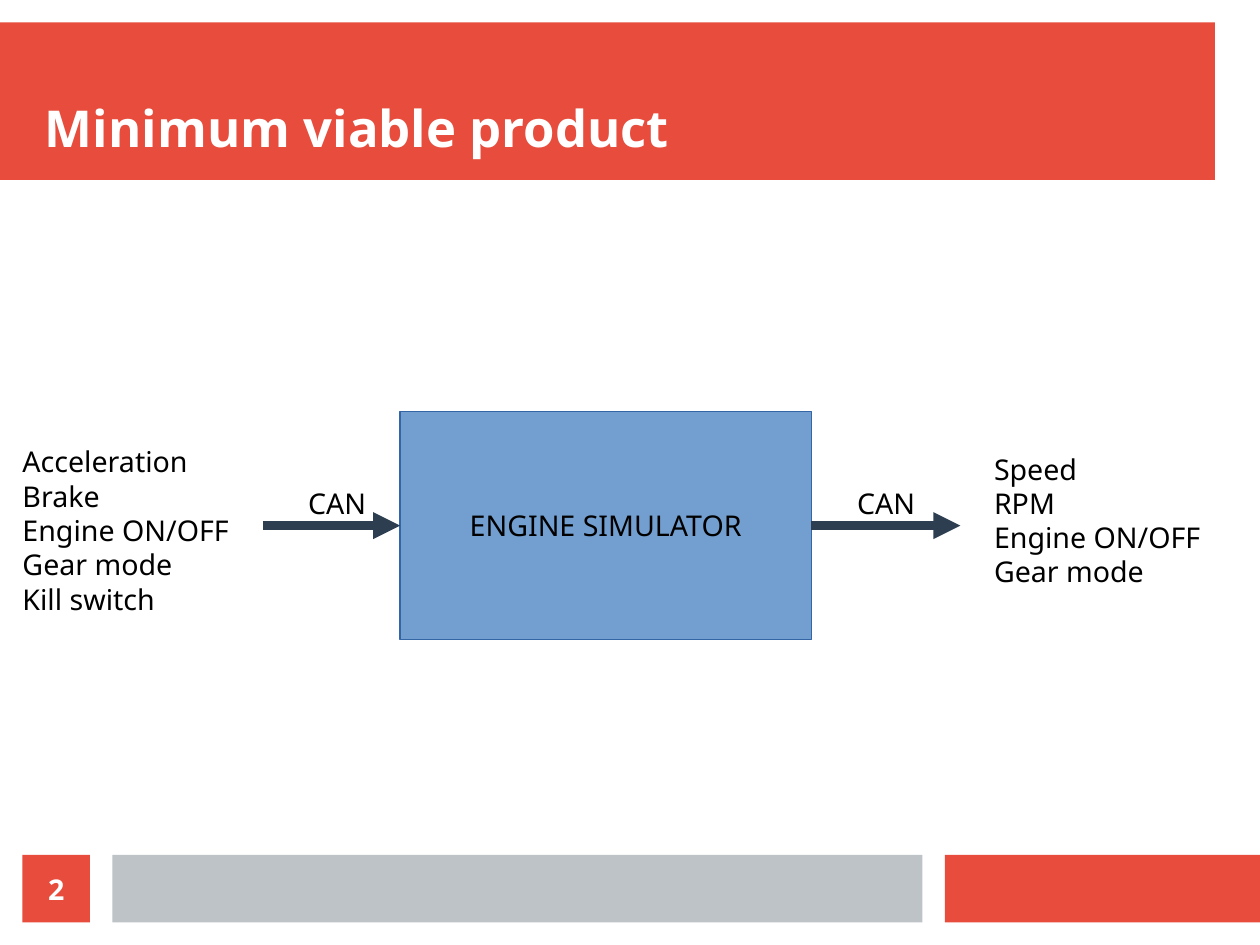
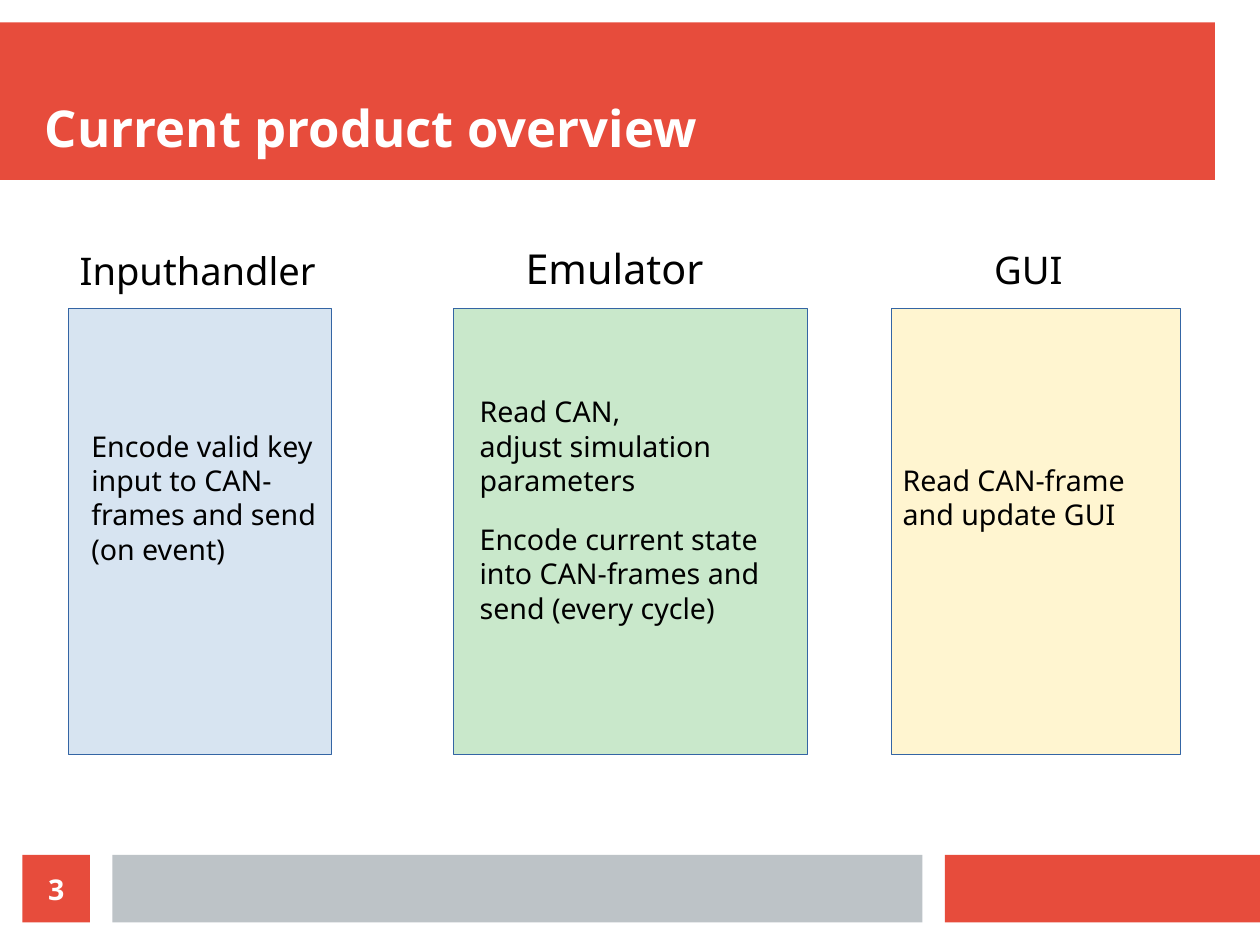
"""Builds two slides on an engine simulator, laid out on a grid of 28 columns by 21 rows."""
from lxml.etree import SubElement
from pptx import Presentation
from pptx.dml.color import RGBColor
from pptx.enum.shapes import MSO_CONNECTOR as Connector, MSO_SHAPE as Shape
from pptx.enum.text import MSO_ANCHOR as Anchor, PP_ALIGN as Align
from pptx.oxml.ns import qn
from pptx.util import Cm, Pt

COLORS = {
    "red": "E74C3C", "gray": "BDC3C7", "white": "FFFFFF", "black": "000000",
    "navy": "2C3E50", "outline": "3465A4",
    "blue": "729FCF", "green": "3FAF46", "yellow": "FFDE59",
}
RGB = {name: RGBColor.from_string(value) for name, value in COLORS.items()}
FONT = "Noto Sans"
COLUMNS, ROWS = 28, 21
CELL = Cm(1)


def add_box(slide, cells, fill, outlined=False, opacity=None):
    """Add a filled rectangle at (column, row, columns, rows)."""
    shape = slide.shapes.add_shape(Shape.RECTANGLE, *(round(n * CELL) for n in cells))
    shape.shadow.inherit = False
    shape.fill.solid()
    shape.fill.fore_color.rgb = RGB[fill]
    if opacity:
        color = shape.element.spPr.find(".//" + qn("a:srgbClr"))
        SubElement(color, qn("a:alpha")).set("val", str(opacity * 1000))
    if outlined:
        shape.line.color.rgb = RGB["outline"]
        shape.line.width = Pt(0)
    else:
        shape.line.fill.background()
    return shape


def write(shape, lines, size=18, color="black", bold=False, align=Align.LEFT, anchor=Anchor.TOP):
    """Write the lines as paragraphs of one style."""
    frame = shape.text_frame
    frame.word_wrap = True
    frame.vertical_anchor = anchor
    frame.text = "\n".join(lines)
    for paragraph in frame.paragraphs:
        paragraph.alignment = align
        paragraph.font.name = FONT
        paragraph.font.size = Pt(size)
        paragraph.font.bold = bold
        paragraph.font.color.rgb = RGB[color]
    return frame


presentation = Presentation()
presentation.slide_width = COLUMNS * CELL
presentation.slide_height = ROWS * CELL
layout = presentation.slide_layouts[5]

slides = []
for number, heading in enumerate(["Minimum viable product", "Current product overview"], start=2):
    slide = presentation.slides.add_slide(layout)
    title = slide.shapes.title
    title.left, title.top, title.width, title.height = CELL, CELL, 26 * CELL, round(2.5 * CELL)
    page = add_box(slide, (0.5, 19, 1.5, 1.5), "red")
    frames = [
        write(title, [heading], 32, "white", True, anchor=Anchor.BOTTOM),
        write(page, [str(number)], 18, "white", True, Align.CENTER, Anchor.MIDDLE),
    ]
    for frame in frames:
        frame.margin_left = frame.margin_top = frame.margin_right = frame.margin_bottom = 0
    slides.append(slide)
product_slide, overview_slide = slides

bands = [
    ((0, 0.5, 27, 3.5), "red"),
    ((21, 19, 7, 1.5), "red"),
    ((2.5, 19, 18, 1.5), "gray"),
]
for cells, fill in bands:
    band = add_box(product_slide, cells, fill)
    layout.shapes.element.insert(2, band.element)

simulator = add_box(product_slide, (8.89, 9.14, 9.14, 5.08), "blue", outlined=True)
write(simulator, ["ENGINE SIMULATOR"], align=Align.CENTER, anchor=Anchor.MIDDLE)

arrow_row = round(11.68 * CELL)
for start, end in [(5.84, 8.89), (18.03, 21.34)]:
    arrow = product_slide.shapes.add_connector(
        Connector.STRAIGHT, round(start * CELL), arrow_row, round(end * CELL), arrow_row)
    arrow.line.color.rgb = RGB["navy"]
    arrow.line.width = Pt(5.67)
    SubElement(arrow.line._get_or_add_ln(), qn("a:tailEnd")).set("type", "triangle")
    SubElement(arrow.element.spPr, qn("a:effectLst"))

inputs = ["Acceleration", "Brake", "Engine ON/OFF", "Gear mode", "Kill switch"]
outputs = ["Speed", "RPM", "Engine ON/OFF", "Gear mode"]
emulator_tasks = [
    "Read CAN,",
    "adjust simulation parameters",
    "Encode current state into CAN-frames and send (every cycle)",
]
input_task = ["Encode valid key input to CAN-frames and send (on event)"]
gui_task = ["Read CAN-frame and update GUI"]

for column, width, fill in [(1.52, 5.84, "blue"), (10.08, 7.87, "green"), (19.81, 6.43, "yellow")]:
    add_box(overview_slide, (column, 6.86, width, 9.91), fill, outlined=True, opacity=28)

texts = [
    (product_slide, (0.25, 9.75, 5.6, 4.57), inputs, 18),
    (product_slide, (21.84, 9.91, 5.6, 3.71), outputs, 18),
    (product_slide, (6.6, 10.67, 2.54, 1.12), ["CAN"], 18),
    (product_slide, (18.8, 10.67, 2.54, 1.12), ["CAN"], 18),
    (overview_slide, (1.52, 5.38, 7.11, 1.4), ["Inputhandler"], 24),
    (overview_slide, (11.43, 5.28, 5.84, 1.5), ["Emulator"], 26),
    (overview_slide, (21.84, 5.36, 5.84, 1.4), ["GUI"], 24),
    (overview_slide, (1.78, 9.4, 5.59, 5), input_task, 18),
    (overview_slide, (10.41, 8.64, 7.7, 7), emulator_tasks, 18),
    (overview_slide, (19.81, 10.16, 6.35, 5), gui_task, 18),
]
for slide, cells, lines, size in texts:
    box = slide.shapes.add_textbox(*(round(n * CELL) for n in cells))
    frame = write(box, lines, size)
    if lines is emulator_tasks:
        frame.paragraphs[-1].space_before = Pt(15.6)

presentation.save("out.pptx")
